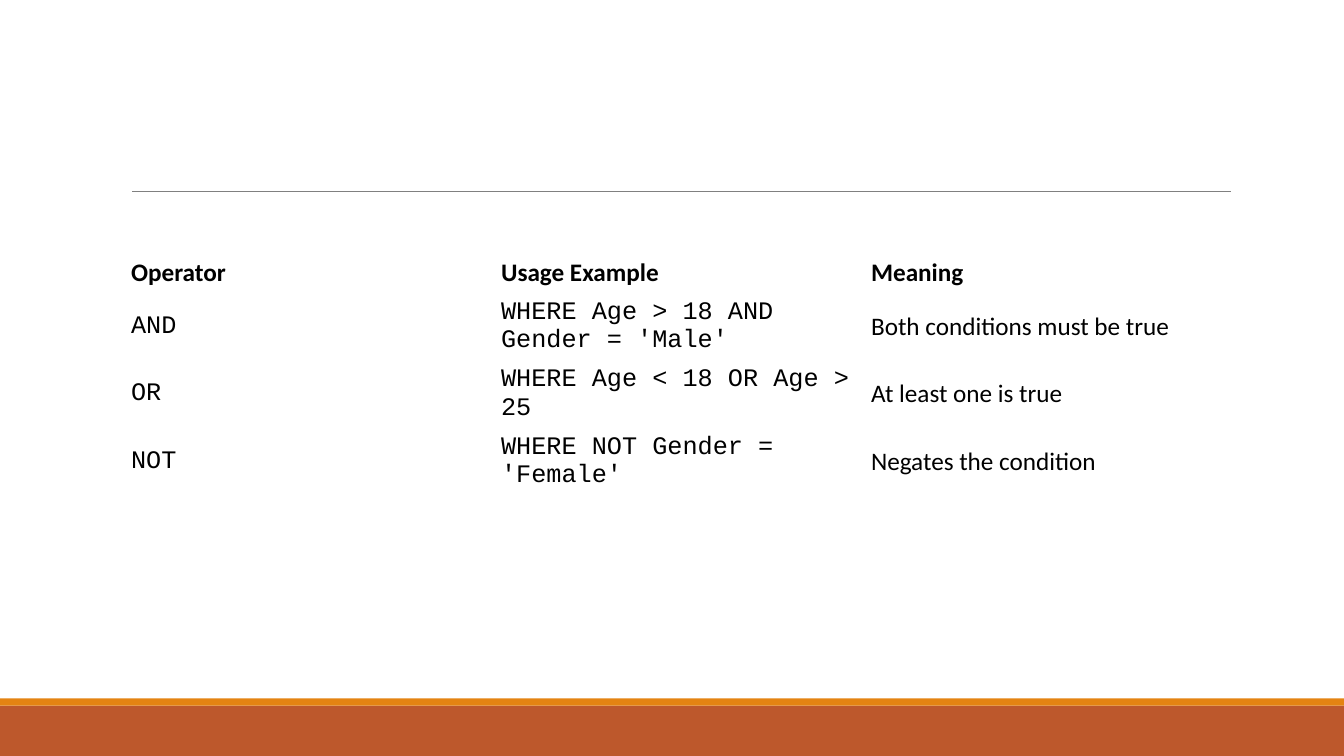
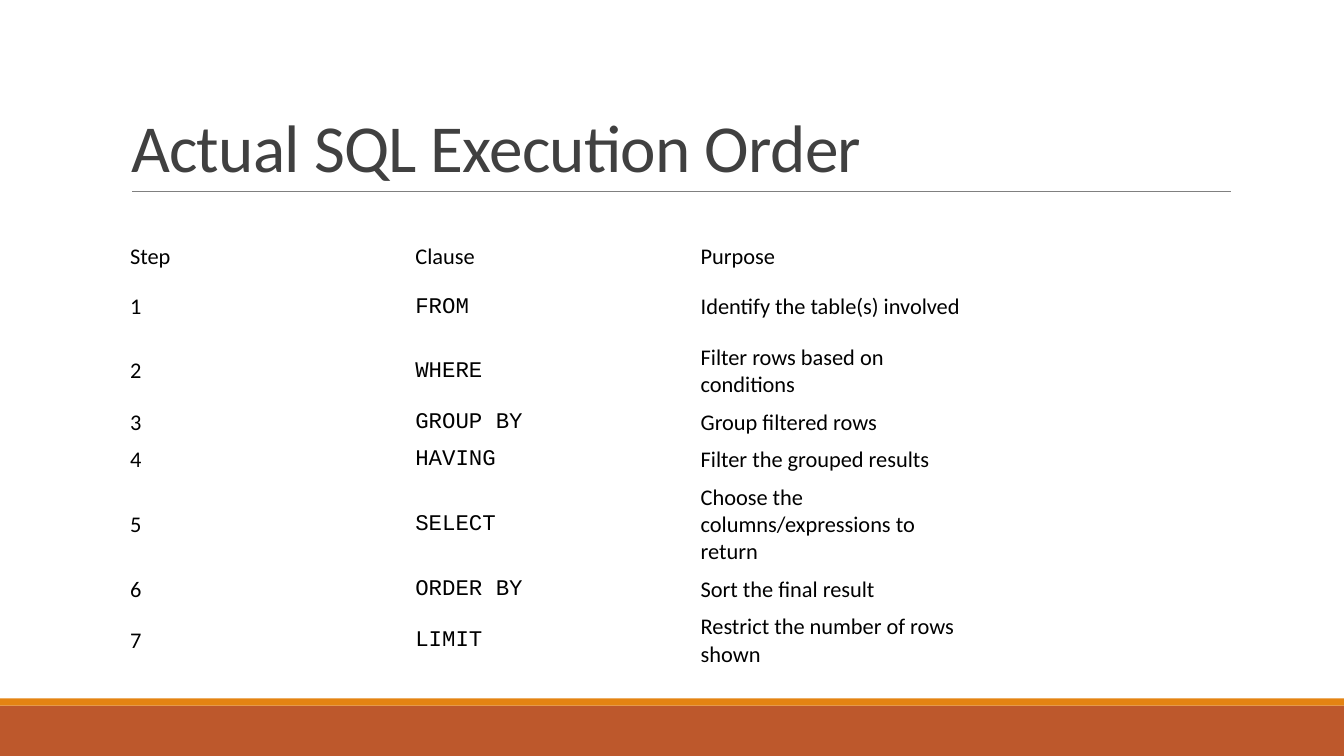
from dataclasses import dataclass

from lxml.etree import SubElement
from pptx import Presentation
from pptx.dml.color import RGBColor as RGB
from pptx.enum.shapes import MSO_CONNECTOR as CONNECTOR, MSO_SHAPE as SHAPE
from pptx.enum.text import MSO_ANCHOR as ANCHOR, MSO_AUTO_SIZE as AUTO_SIZE, PP_ALIGN as ALIGN
from pptx.oxml.ns import qn
from pptx.util import Inches, Pt


@dataclass(frozen=True)
class Theme:
    body_font: str = "Calibri"
    code_font: str = "Courier New"
    text: RGB = RGB(0x00, 0x00, 0x00)
    title: RGB = RGB(0x40, 0x40, 0x40)
    rule: RGB = RGB(0x80, 0x80, 0x80)
    band: RGB = RGB(0xBD, 0x58, 0x2C)
    stripe: RGB = RGB(0xE4, 0x83, 0x12)
    title_size: int = 48
    large_size: int = 18
    small_size: int = 16


TITLE_ONLY, BLANK = 5, 6
WIDTH, HEIGHT = 13.33, 7.5
LEFT = 1.2


class Deck:
    def __init__(self, theme):
        self.theme = theme
        self.prs = Presentation()
        self.prs.slide_width = Inches(WIDTH)
        self.prs.slide_height = Inches(HEIGHT)
        self.s = None

    def slide(self, title=None):
        layout = self.prs.slide_layouts[TITLE_ONLY if title else BLANK]
        self.s = self.prs.slides.add_slide(layout)
        self.bar(7, 0.5, self.theme.band)
        self.bar(6.93, 0.07, self.theme.stripe)
        self.rule(1.31, 12.21, 1.9)
        if title:
            self.title(title)

    def bar(self, top, height, color):
        """Add a full-width band."""
        sp = self.s.shapes.add_shape(
            SHAPE.RECTANGLE, 0, Inches(top), Inches(WIDTH), Inches(height))
        sp.shadow.inherit = False
        sp.fill.solid()
        sp.fill.fore_color.rgb = color
        sp.line.fill.background()

    def rule(self, left, right, y):
        """Add a thin horizontal line."""
        line = self.s.shapes.add_connector(
            CONNECTOR.STRAIGHT, Inches(left), Inches(y), Inches(right), Inches(y))
        line.line.color.rgb = self.theme.rule
        line.line.width = Pt(0.5)
        SubElement(line._element.spPr, qn("a:effectLst"))

    def run(self, p, text, size, color, font, bold=False):
        r = p.add_run()
        r.text = text
        r.font.name = font
        r.font.size = Pt(size)
        r.font.bold = bold
        r.font.color.rgb = color
        return r

    def title(self, text):
        sp = self.s.shapes.title
        sp.left, sp.top = Inches(LEFT), Inches(0.31)
        sp.width, sp.height = Inches(11), Inches(1.59)
        tf = sp.text_frame
        tf.word_wrap = True
        tf.auto_size = AUTO_SIZE.NONE
        tf.vertical_anchor = ANCHOR.BOTTOM
        p = tf.paragraphs[0]
        p.alignment = ALIGN.LEFT
        p.line_spacing = 0.85
        r = self.run(p, text, self.theme.title_size, self.theme.title, self.theme.body_font)
        r._r.get_or_add_rPr().set("spc", "-50")

    def table(self, top, col_width, row_heights, rows, size, code_cols,
              inset=0.1, bold_header=False):
        """Add a plain table; code_cols are set in the code font below the header."""
        cols = len(rows[0])
        table = self.s.shapes.add_table(
            len(rows), cols, Inches(LEFT), Inches(top),
            Inches(col_width * cols), Inches(sum(row_heights))).table
        table.first_row = table.horz_banding = False
        for column in table.columns:
            column.width = Inches(col_width)
        for i, (height, row) in enumerate(zip(row_heights, rows)):
            table.rows[i].height = Inches(height)
            for j, text in enumerate(row):
                cell = table.cell(i, j)
                cell.fill.background()
                cell.vertical_anchor = ANCHOR.MIDDLE
                cell.margin_left = cell.margin_right = Inches(inset)
                cell.margin_top = cell.margin_bottom = Inches(0.05)
                is_code = i > 0 and j in code_cols
                font = self.theme.code_font if is_code else self.theme.body_font
                self.run(cell.text_frame.paragraphs[0], text, size, self.theme.text,
                         font, bold_header and i == 0)


OPERATORS = [
    ("Operator", "Usage Example", "Meaning"),
    ("AND", "WHERE Age > 18 AND Gender = 'Male'", "Both conditions must be true"),
    ("OR", "WHERE Age < 18 OR Age > 25", "At least one is true"),
    ("NOT", "WHERE NOT Gender = 'Female'", "Negates the condition"),
]

EXECUTION_STEPS = [
    ("Step", "Clause", "Purpose"),
    ("1", "FROM", "Identify the table(s) involved"),
    ("2", "WHERE", "Filter rows based on conditions"),
    ("3", "GROUP BY", "Group filtered rows"),
    ("4", "HAVING", "Filter the grouped results"),
    ("5", "SELECT", "Choose the columns/expressions to return"),
    ("6", "ORDER BY", "Sort the final result"),
    ("7", "LIMIT", "Restrict the number of rows shown"),
]


def main():
    theme = Theme()
    deck = Deck(theme)

    deck.slide()
    deck.table(2.5, 3.67, [0.4] + [0.67] * 3, OPERATORS, theme.large_size,
               code_cols=(0, 1), bold_header=True)

    deck.slide("Actual SQL Execution Order")
    one, two, three = 0.36, 0.63, 0.9  # row heights by number of text lines
    deck.table(2.36, 2.83, [one, two, two, one, one, three, one, two],
               EXECUTION_STEPS, theme.small_size, code_cols=(1,), inset=0.09)

    deck.prs.save("out.pptx")


if __name__ == "__main__":
    main()
